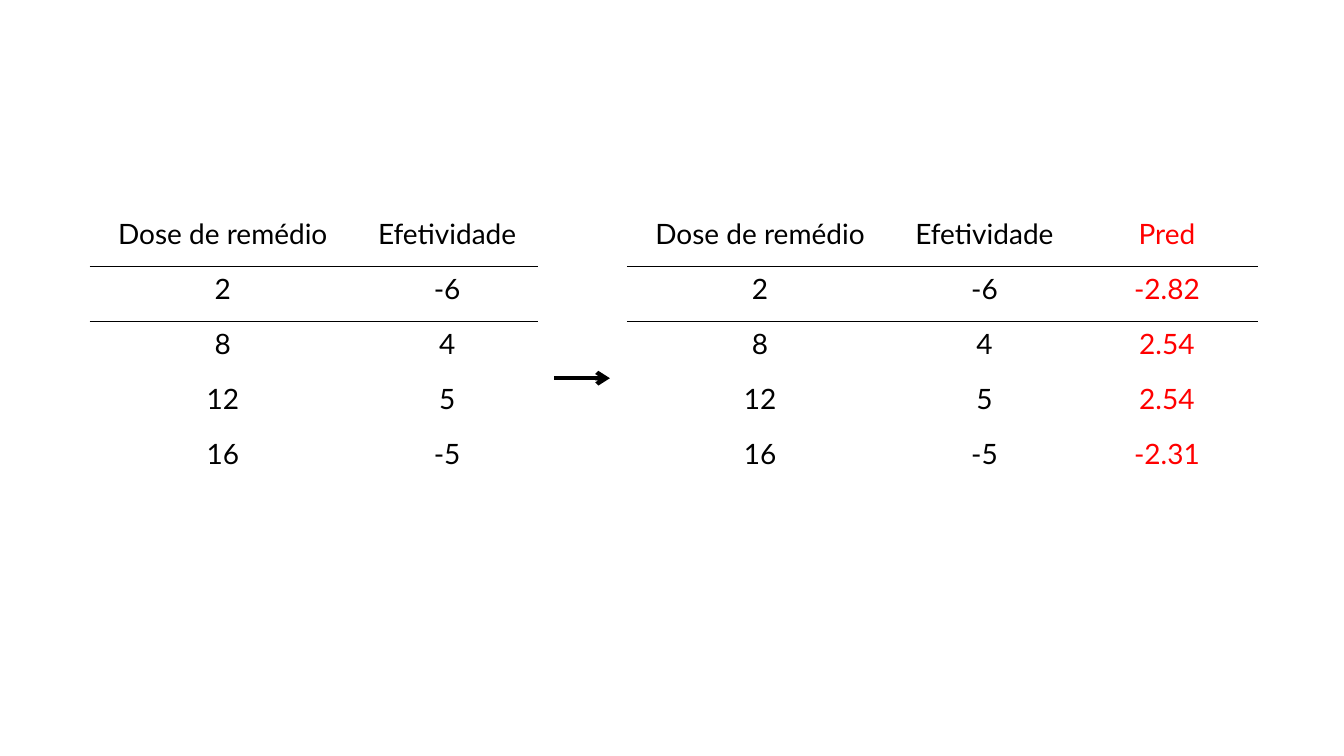
from lxml import etree
from pptx import Presentation
from pptx import util as u
from pptx.dml.color import RGBColor
from pptx.enum import shapes, text
from pptx.oxml.ns import qn

COLORS = {"ink": "000000", "prediction": "FF0000"}
FONT = "Lato"
PLAIN_STYLE = "{2D5ABB26-0587-4C30-8999-92F81FD0307C}"
TOP, ROW_HEIGHT = 5.33, 1.39
DOSE_WIDTH, VALUE_WIDTH = 6.71, 4.6

OBSERVED = [
    ("Dose de remédio", "Efetividade"),
    ("2", "-6"),
    ("8", "4"),
    ("12", "5"),
    ("16", "-5"),
]
PREDICTIONS = ["Pred", "-2.82", "2.54", "2.54", "-2.31"]


def rule_edge(cell, edge):
    rule = etree.Element(qn(f"a:{edge}"), w=str(u.Pt(1)))
    fill = etree.SubElement(rule, qn("a:solidFill"))
    etree.SubElement(fill, qn("a:srgbClr"), val=COLORS["ink"])
    cell._tc.get_or_add_tcPr().insert(0, rule)


def write_cell(cell, value, color):
    cell.fill.background()
    paragraph = cell.text_frame.paragraphs[0]
    paragraph.alignment = text.PP_ALIGN.CENTER
    run = paragraph.add_run()
    run.text = value
    run.font.name = FONT
    run.font.size = u.Pt(20)
    run.font.color.rgb = RGBColor.from_string(COLORS[color])


def add_dose_table(slide, left, records):
    widths = [DOSE_WIDTH] + [VALUE_WIDTH] * (len(records[0]) - 1)
    frame = slide.shapes.add_table(
        len(records), len(widths), u.Cm(left), u.Cm(TOP),
        u.Cm(sum(widths)), u.Cm(ROW_HEIGHT * len(records)))
    table = frame.table
    table.first_row = table.horz_banding = False
    table._tbl.tblPr.find(qn("a:tableStyleId")).text = PLAIN_STYLE
    for column, width in zip(table.columns, widths):
        column.width = u.Cm(width)
    for row, record in enumerate(records):
        table.rows[row].height = u.Cm(ROW_HEIGHT)
        for col, value in enumerate(record):
            cell = table.cell(row, col)
            write_cell(cell, value, "prediction" if col == 2 else "ink")
            if row < 2:
                rule_edge(cell, ("lnB", "lnT")[row])


def add_arrow(slide, start, end, y):
    arrow = slide.shapes.add_connector(
        shapes.MSO_CONNECTOR.STRAIGHT, u.Cm(start), u.Cm(y), u.Cm(end), u.Cm(y))
    arrow.line.width = u.Pt(3)
    arrow.line.color.rgb = RGBColor.from_string(COLORS["ink"])
    etree.SubElement(arrow.line._get_or_add_ln(), qn("a:tailEnd"), type="arrow")
    etree.SubElement(arrow._element.spPr, qn("a:effectLst"))


def main():
    deck = Presentation()
    deck.slide_width, deck.slide_height = u.Cm(33.87), u.Cm(19.05)
    slide = deck.slides.add_slide(deck.slide_layouts[6])
    predicted = [(*record, pred) for record, pred in zip(OBSERVED, PREDICTIONS)]
    add_dose_table(slide, 2.26, OBSERVED)
    add_dose_table(slide, 15.8, predicted)
    add_arrow(slide, 13.97, 15.37, 9.53)
    deck.save("out.pptx")


main()
